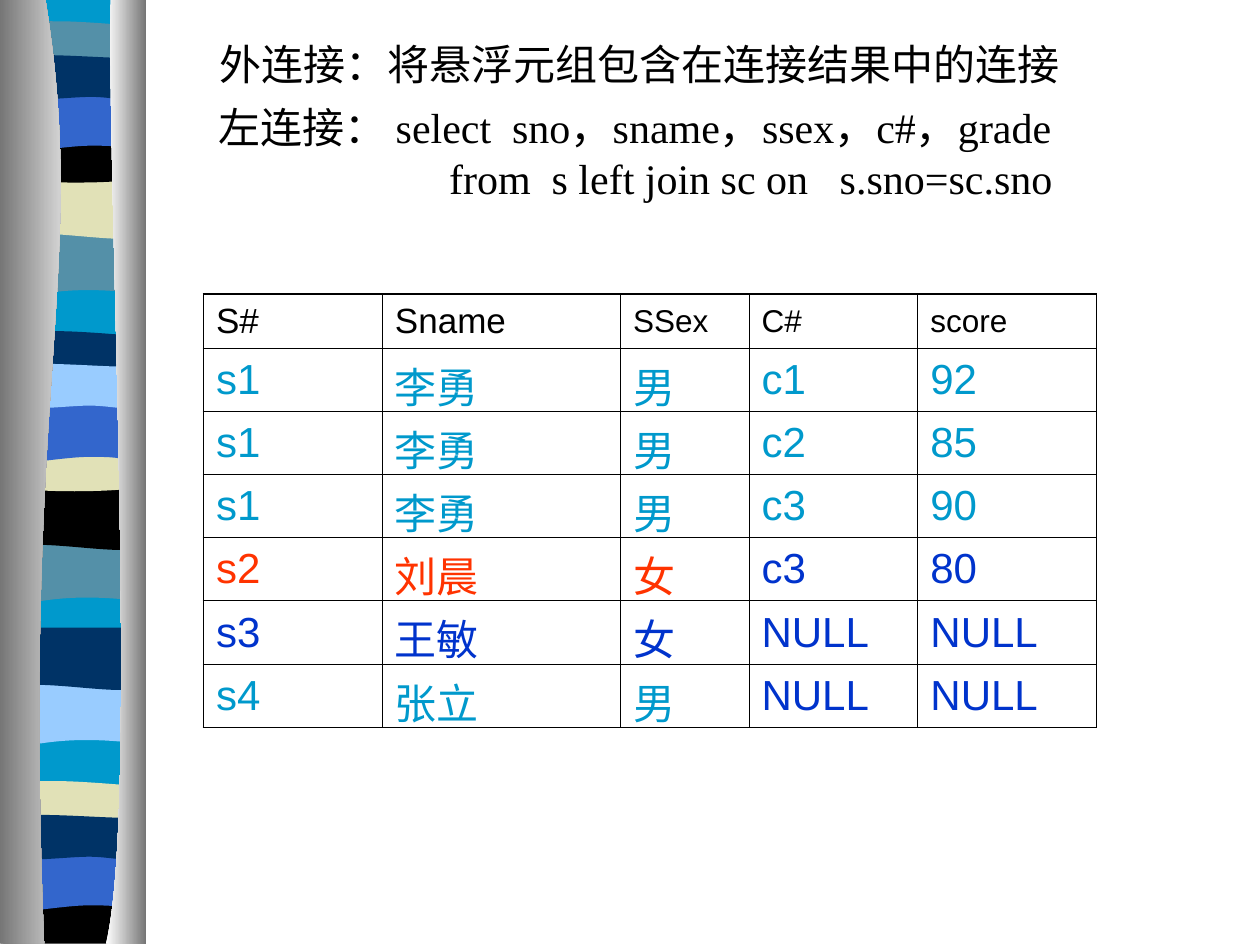
from lxml.etree import SubElement
from pptx import Presentation
from pptx.dml.color import RGBColor as RGB
from pptx.enum.text import MSO_ANCHOR as Anchor
from pptx.oxml.ns import qn
from pptx.util import Pt

BLACK = RGB(0x00, 0x00, 0x00)
WHITE = RGB(0xFF, 0xFF, 0xFF)
GRAY = RGB(0x76, 0x76, 0x76)
CYAN = RGB(0x00, 0x99, 0xCC)
TEAL = RGB(0x54, 0x90, 0xA8)
CREAM = RGB(0xE1, 0xE1, 0xB7)
ROYAL = RGB(0x33, 0x66, 0xCC)
NAVY = RGB(0x00, 0x33, 0x66)
SKY = RGB(0x99, 0xCC, 0xFF)
RED = RGB(0xFF, 0x33, 0x00)
BLUE = RGB(0x00, 0x33, 0xCC)

BAND_W = 77
WAVE = [(BAND_W, 0), (BAND_W, 0, BAND_W, 34, BAND_W, 34),
        (23.8, 27.4, 13, 38.9, 0, 33.8), (0, 0), (BAND_W, 0)]
SWELL = [(BAND_W, 0), (BAND_W, 34.2), (64, 39.2, 23.8, 29.5, 0, 33.8), (0, 0),
         (BAND_W, 0)]
CREST = [(BAND_W, 0), (BAND_W, 17.3), (64, 20.2, 13, 20.2, 0, 17.3), (0, 0),
         (5, -3.6, 16.6, -2.9, 29.5, -2.9), (42.5, -2.9, 67, -0.7, BAND_W, 0)]
DIP = [(BAND_W, 0), (BAND_W, 23.8), (64.8, 27.4, 13, 27.4, 0, 23.8), (0, 0),
       (47.5, 3.6, 61.2, 0, BAND_W, 0)]
FLAT_DIP = [(BAND_W, 0), (BAND_W, 26.6), (0.7, 26.6), (0, 0),
            (47.5, 3.6, 61.2, 0, BAND_W, 0)]
ARCH = [(BAND_W, 0), (BAND_W, 0, BAND_W, 34, BAND_W, 34),
        (64.8, 30, 59.8, 30, 47, 30), (34.6, 30, 12.2, 34, 0, 34), (0, 0),
        (BAND_W, 0)]
RIDGE = [(BAND_W, 0), (BAND_W, 22.3), (72, 26, 59.8, 22.3, 47.5, 22.3),
         (34.6, 22.3, 7.9, 26, 0, 22.3), (0, 0), (10.8, -3.6, 52, 0, 65, 0),
         (78, 0, 74.5, 0, BAND_W, 0)]

BAND_GROUPS = [
    (4.6, [(WAVE, 133.9, TEAL), (SWELL, 100.8, CREAM), (CREST, 15.1, TEAL),
           (DIP, 77.8, BLACK), (ARCH, 53.3, ROYAL), (RIDGE, 33.1, NAVY)]),
    (3.8, [(WAVE, 309.6, TEAL), (SWELL, 278.6, BLACK), (CREST, 192.2, NAVY),
           (DIP, 254.2, CREAM), (ARCH, 231.1, ROYAL), (RIDGE, 209.5, SKY)]),
    (3.5, [(WAVE, 391, SKY), (SWELL, 358.6, NAVY), (CREST, 449.3, CREAM),
           (FLAT_DIP, 512.6, BLACK), (ARCH, 487.4, ROYAL), (RIDGE, 467.3, NAVY)]),
]
BACKING = [(82, -0.7), (82, 537.8), (5, 537.8), (5, -0.7), (82, -0.7)]
LEFT_EDGE = [(25.9, -0.7), (51.1, 155.5, 12.2, 213.1, 25.2, 539.3),
             (0, 539.3), (0, -0.7), (25.9, -0.7)]
RIGHT_EDGE = [(63.4, -0.7), (60.5, 90, 79.9, 465.1, 60.5, 539.3),
              (83.5, 539.3), (83.5, 0), (63.4, -0.7)]

HEADER = ["S#", "Sname", "SSex", "C#", "score"]
HEADER_SIZES = [20, 20, 18, 18, 18]
ROWS = [
    (["s1", "李勇", "男", "c1", "92"], CYAN, CYAN),
    (["s1", "李勇", "男", "c2", "85"], CYAN, CYAN),
    (["s1", "李勇", "男", "c3", "90"], CYAN, CYAN),
    (["s2", "刘晨", "女", "c3", "80"], RED, BLUE),
    (["s3", "王敏", "女", "NULL", "NULL"], BLUE, BLUE),
    (["s4", "张立", "男", "NULL", "NULL"], CYAN, BLUE),
]
STUDENT_COLS = 3
COL_WIDTHS = [102.2, 136.1, 73.4, 96.5, 102.2]
ROW_HEIGHTS = [31] + [36.1] * len(ROWS)


class Deck:
    text_font = "Times New Roman"
    table_font = "Arial"
    text_size = 24

    def __init__(self, width, height):
        self.prs = Presentation()
        self.prs.slide_width, self.prs.slide_height = Pt(width), Pt(height)
        self.s = self.prs.slides.add_slide(self.prs.slide_layouts[6])

    def style(self, p, font, size, color):
        for r in p.runs:
            r.font.name, r.font.size = font, Pt(size)
            r.font.color.rgb = color

    def bend(self, sp, nodes):
        segments = iter(sp._element.findall(".//" + qn("a:lnTo")))
        for node in nodes:
            first = next(segments)
            if len(node) == 6:
                first.tag_name = None
                curve = SubElement(first.getparent(), qn("a:cubicBezTo"))
                first.addprevious(curve)
                for segment in (first, next(segments), next(segments)):
                    curve.append(segment[0])
                    segment.getparent().remove(segment)

    def outline(self, nodes, colors, x=0, y=0):
        points = [(Pt(x + node[i]), Pt(y + node[i + 1]))
                  for node in nodes for i in range(0, len(node), 2)]
        fb = self.s.shapes.build_freeform(*points[0], scale=1.0)
        fb.add_line_segments(points[1:], close=True)
        sp = fb.convert_to_shape()
        self.bend(sp, nodes[1:])
        sp.shadow.inherit = False
        sp.line.fill.background()
        if len(colors) == 1:
            sp.fill.solid()
            sp.fill.fore_color.rgb = colors[0]
        else:
            sp.fill.gradient()
            sp.fill.gradient_angle = 0
            for stop, color in zip(sp.fill.gradient_stops, colors):
                stop.color.rgb = color

    def text(self, x, y, w, h, lines):
        tf = self.s.shapes.add_textbox(Pt(x), Pt(y), Pt(w), Pt(h)).text_frame
        tf.word_wrap = True
        tf.text = "\n".join(lines)
        for p in tf.paragraphs:
            self.style(p, self.text_font, self.text_size, BLACK)

    def border(self, cell, widths):
        tc_pr = cell._tc.get_or_add_tcPr()
        for i, (side, width) in enumerate(zip("LRTB", widths)):
            ln = SubElement(tc_pr, qn(f"a:ln{side}"), w=str(Pt(width)))
            fill = SubElement(ln, qn("a:solidFill"))
            SubElement(fill, qn("a:srgbClr"), val=str(BLACK))
            tc_pr.insert(i, ln)

    def cell(self, cell, text, size, color, widths):
        cell.fill.background()
        cell.vertical_anchor = Anchor.MIDDLE
        if not text.isascii():
            cell.margin_bottom = Pt(-2.5)
        cell.text_frame.text = text
        self.style(cell.text_frame.paragraphs[0], self.table_font, size, color)
        self.border(cell, widths)

    def table(self, x, y, col_widths, row_heights, rows):
        tbl = self.s.shapes.add_table(
            len(row_heights), len(col_widths), Pt(x), Pt(y),
            Pt(sum(col_widths)), Pt(sum(row_heights))).table
        tbl.first_row = tbl.horz_banding = False
        for col, width in zip(tbl.columns, col_widths):
            col.width = Pt(width)
        for row, height in zip(tbl.rows, row_heights):
            row.height = Pt(height)
        for i, row in enumerate(rows):
            for j, (text, size, color) in enumerate(row):
                widths = (0.45 if j else 1.08, 0.45, 0.45 if i else 1.08, 0.45)
                self.cell(tbl.cell(i, j), text, size, color, widths)


def main():
    deck = Deck(720, 540)
    deck.outline(BACKING, [CYAN])
    for x, bands in BAND_GROUPS:
        for profile, y, color in bands:
            deck.outline(profile, [color], x, y)
    deck.outline(LEFT_EDGE, [GRAY, WHITE])
    deck.outline(RIGHT_EDGE, [WHITE, GRAY])

    rows = [[(text, size, BLACK) for text, size in zip(HEADER, HEADER_SIZES)]]
    for texts, student, course in ROWS:
        rows.append([(text, 24, student if j < STUDENT_COLS else course)
                     for j, text in enumerate(texts)])
    deck.table(116.3, 168, COL_WIDTHS, ROW_HEIGHTS, rows)

    deck.text(117.7, 54.7, 532.8, 93.6, [
        "左连接： select  sno，sname，ssex，c#，grade",
        "                      from  s left join sc on   s.sno=sc.sno"])
    deck.text(118.3, 18.3, 536.4, 36, ["外连接：将悬浮元组包含在连接结果中的连接"])
    deck.prs.save("out.pptx")


if __name__ == "__main__":
    main()
